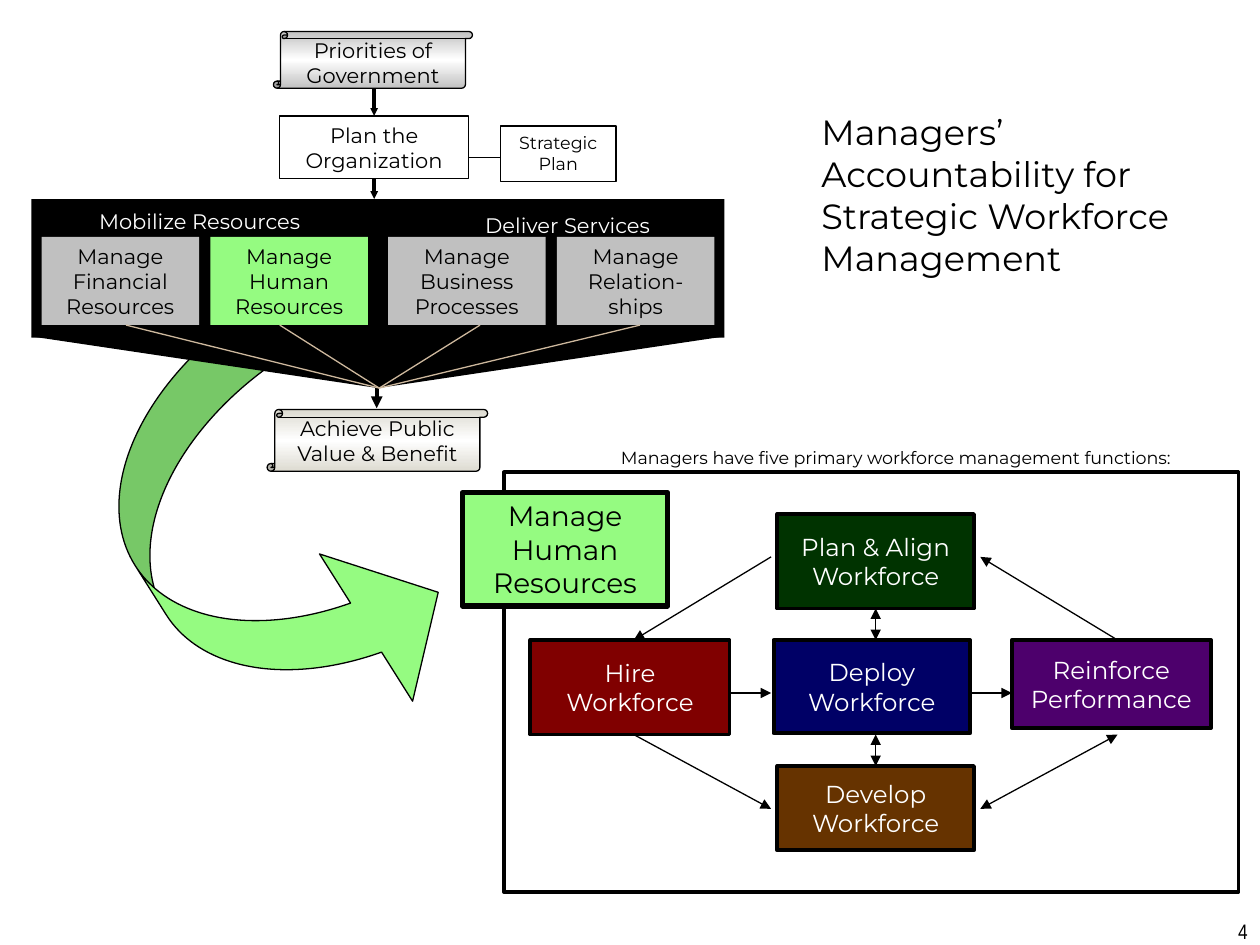
from copy import deepcopy

from pptx import Presentation
from pptx import util as u
from pptx.dml.color import RGBColor
from pptx.enum import shapes, text
from pptx.oxml.ns import qn

BLACK = RGBColor(0x00, 0x00, 0x00)
WHITE = RGBColor(0xFF, 0xFF, 0xFF)
GRAY = RGBColor(0xC0, 0xC0, 0xC0)
SILVER = RGBColor(0xC2, 0xC2, 0xC2)
STONE = RGBColor(0xDD, 0xDB, 0xD1)
TAN = RGBColor(0xCD, 0xB8, 0x9D)
GREEN = RGBColor(0x95, 0xFB, 0x81)
BROWN = RGBColor(0x66, 0x33, 0x00)
PURPLE = RGBColor(0x4D, 0x00, 0x6C)
NAVY = RGBColor(0x00, 0x00, 0x66)
FOREST = RGBColor(0x00, 0x33, 0x00)
MAROON = RGBColor(0x80, 0x00, 0x00)

CENTER, LEFT, RIGHT = text.PP_ALIGN.CENTER, text.PP_ALIGN.LEFT, text.PP_ALIGN.RIGHT
TOP, MIDDLE = text.MSO_ANCHOR.TOP, text.MSO_ANCHOR.MIDDLE


def inches(*values):
    """Convert numbers to lengths."""
    return [u.Inches(v) for v in values]


def write(sp, words, size, color=BLACK, align=CENTER, anchor=TOP, font="Montserrat"):
    """Put one wrapped paragraph in a shape."""
    tf = sp.text_frame
    tf.word_wrap = True
    tf.vertical_anchor = anchor
    tf.text = words
    p = tf.paragraphs[0]
    p.alignment = align
    p.font.name, p.font.size, p.font.color.rgb = font, u.Pt(size), color


def add_label(s, box, words, size, **style):
    """Add a text box."""
    sp = s.shapes.add_textbox(*inches(*box))
    write(sp, words, size, **style)


def paint(sp, fill, line=None):
    """Set fill and line width, where None means neither."""
    sp.shadow.inherit = False
    if fill is None:
        sp.fill.background()
    else:
        sp.fill.solid()
        sp.fill.fore_color.rgb = fill
    if line is None:
        sp.line.fill.background()
    else:
        sp.line.color.rgb = BLACK
        sp.line.width = u.Pt(line)


def add_box(s, box, fill, line=None, kind=shapes.MSO_SHAPE.RECTANGLE):
    """Add a preset shape, by default a rectangle."""
    sp = s.shapes.add_shape(kind, *inches(*box))
    paint(sp, fill, line)
    return sp


def add_line(s, start, end, width=0.75, color=BLACK, head=False, tail=False, size="med"):
    """Add a straight line with optional arrowheads."""
    c = s.shapes.add_connector(shapes.MSO_CONNECTOR.STRAIGHT, *inches(*start, *end))
    c.line.color.rgb = color
    c.line.width = u.Pt(width)
    ln = c.line._get_or_add_ln()
    for tag, wanted in (("a:headEnd", head), ("a:tailEnd", tail)):
        if wanted:
            ln.append(ln.makeelement(qn(tag), {"type": "triangle", "w": size, "len": size}))
    sp_pr = c._element.spPr
    sp_pr.append(sp_pr.makeelement(qn("a:effectLst"), {}))
    return c


def add_scroll(s, x, y, w, h, edge, words, caption_w):
    """Add a scroll with a shaded fill and a caption over it."""
    sp = add_box(s, (x, y, w, h), WHITE, 0.75, shapes.MSO_SHAPE.VERTICAL_SCROLL)
    sp.fill.gradient()
    sp.fill.gradient_angle = 90
    gs = sp._element.spPr.find(".//" + qn("a:gs"))
    gs.addnext(deepcopy(gs))
    for stop, position, color in zip(sp.fill.gradient_stops, (0, 0.5, 1), (edge, WHITE, edge)):
        stop.position, stop.color.rgb = position, color
    add_label(s, (x + (w - caption_w) / 2, y, caption_w, 0.5), words, 12)


def add_curved_arrow(s, x, y, w, h):
    """Add the ribbon arrow that leads to the functions panel."""
    sp = add_box(s, (x, y, w, h), GREEN, 0.75, shapes.MSO_SHAPE.CURVED_RIGHT_ARROW)
    sp.rotation = 327.7
    for i, value in enumerate((0.24, 0.72, 0.33)):
        sp.adjustments[i] = value


def add_planning(s, x, y):
    """Add the priorities scroll and the planning boxes."""
    mid = x + 0.85
    to_plan = add_line(s, (mid, y + 0.42), (mid, y + 0.67), 2.25, tail=True, size="sm")
    to_funnel = add_line(s, (mid, y + 1.17), (mid, y + 1.33), 2.25, tail=True, size="sm")
    add_scroll(s, x + 0.05, y, 1.58, 0.45, SILVER, "Priorities of Government", 1.89)
    plan = add_box(s, (x + 0.1, y + 0.67, 1.5, 0.5), WHITE, 0.75)
    write(plan, "Plan the Organization", 12)
    strategy = add_box(s, (x + 1.85, y + 0.75, 0.92, 0.44), WHITE, 0.75)
    write(strategy, "Strategic Plan", 10)
    to_plan.end_connect(plan, 0)
    to_funnel.begin_connect(plan, 2)
    add_line(s, (x + 1.6, y + 1), (x + 1.85, y + 1), 1)


def add_funnel(s, x, y, w):
    """Add the black funnel with its four management areas and result."""
    add_scroll(s, x + 1.87, y + 1.67, 1.75, 0.49, STONE, "Achieve Public Value & Benefit", 1.92)
    add_line(s, (x + 2.74, y + 1.5), (x + 2.74, y + 1.66), 2.25, tail=True)
    add_box(s, (x, y, w, 1.1), BLACK)
    builder = s.shapes.build_freeform(*inches(x, y + 1.09))
    builder.add_line_segments([inches(x + w, y + 1.09), inches(x + w / 2, y + 1.5)])
    paint(builder.convert_to_shape(), BLACK)
    for dx, dy, words in ((0.32, 0.03, "Mobilize Resources"), (3.24, 0.06, "Deliver Services")):
        add_label(s, (x + dx, y + dy, 2.03, 0.3), words, 12, color=WHITE)
    areas = (
        (0.08, 0.75, GRAY, "Manage Financial Resources"),
        (1.42, 1.97, GREEN, "Manage Human Resources"),
        (2.83, 3.56, GRAY, "Manage Business Processes"),
        (4.17, 4.83, GRAY, "Manage Relation-\vships"),
    )
    for dx, line_dx, fill, words in areas:
        write(add_box(s, (x + dx, y + 0.3, 1.25, 0.7), fill), words, 12)
        add_line(s, (x + line_dx, y + 1), (x + w / 2 + 0.01, y + 1.5), color=TAN)


def add_functions(s, x, y, w, h):
    """Add the panel of five workforce functions and their links."""
    add_box(s, (x, y, w, h), None, 2.25)
    write(add_box(s, (x - 0.33, y + 0.16, 1.63, 0.9), GREEN, 3), "Manage Human Resources", 16)
    functions = (
        ("develop", 2.17, 2.33, 1.56, 0.67, 0.05, BROWN, "Develop Workforce"),
        ("reinforce", 4.03, 1.33, 1.58, 0.7, 0.05, PURPLE, "Reinforce Performance"),
        ("deploy", 2.14, 1.33, 1.56, 0.74, 0.1, NAVY, "Deploy Workforce"),
        ("plan", 2.17, 0.33, 1.56, 0.75, 0.1, FOREST, "Plan & Align Workforce"),
        ("hire", 0.21, 1.33, 1.58, 0.75, 0.1, MAROON, "Hire Workforce"),
    )
    boxes = {}
    for key, dx, dy, bw, bh, margin, fill, words in functions:
        boxes[key] = add_box(s, (x + dx, y + dy, bw, bh), fill, 2.25)
        write(boxes[key], words, 14, color=WHITE, anchor=MIDDLE)
        tf = boxes[key].text_frame
        tf.margin_left = tf.margin_right = u.Inches(margin)

    def link(x1, y1, x2, y2, head=False):
        return add_line(s, (x + x1, y + y1), (x + x2, y + y2), head=head, tail=True)

    link(2.95, 1.33, 2.95, 1.08, True).end_connect(boxes["plan"], 2)
    link(2.95, 2.33, 2.95, 2.08, True).begin_connect(boxes["develop"], 0)
    link(1.78, 1.75, 2.12, 1.75)
    link(3.7, 1.75, 4.03, 1.75)
    link(2.12, 0.67, 1.03, 1.33)
    link(1.03, 2.08, 2.12, 2.67)
    link(3.78, 2.67, 4.87, 2.08, True)
    link(4.87, 1.33, 3.78, 0.67)
    add_label(s, (x + 0.83, y - 0.25, 5, 0.27),
              "Managers have five primary workforce management functions:", 10, align=LEFT)


def main():
    """Build the slide."""
    prs = Presentation()
    prs.slide_width, prs.slide_height = inches(10, 7.5)
    s = prs.slides.add_slide(prs.slide_layouts[6])
    add_curved_arrow(s, 1.17, 2.67, 1.92, 3.39)
    add_planning(s, 2.12, 0.25)
    add_funnel(s, 0.25, 1.58, 5.5)
    add_functions(s, 4, 3.75, 5.83, 3.33)
    add_label(s, (6.42, 0.83, 3.42, 1.44),
              "Managers’ Accountability for Strategic Workforce Management", 20, align=LEFT)
    add_label(s, (7.67, 7.24, 2.33, 0.52), "4", 12, align=RIGHT, font="Arial Narrow")
    prs.save("out.pptx")


if __name__ == "__main__":
    main()
